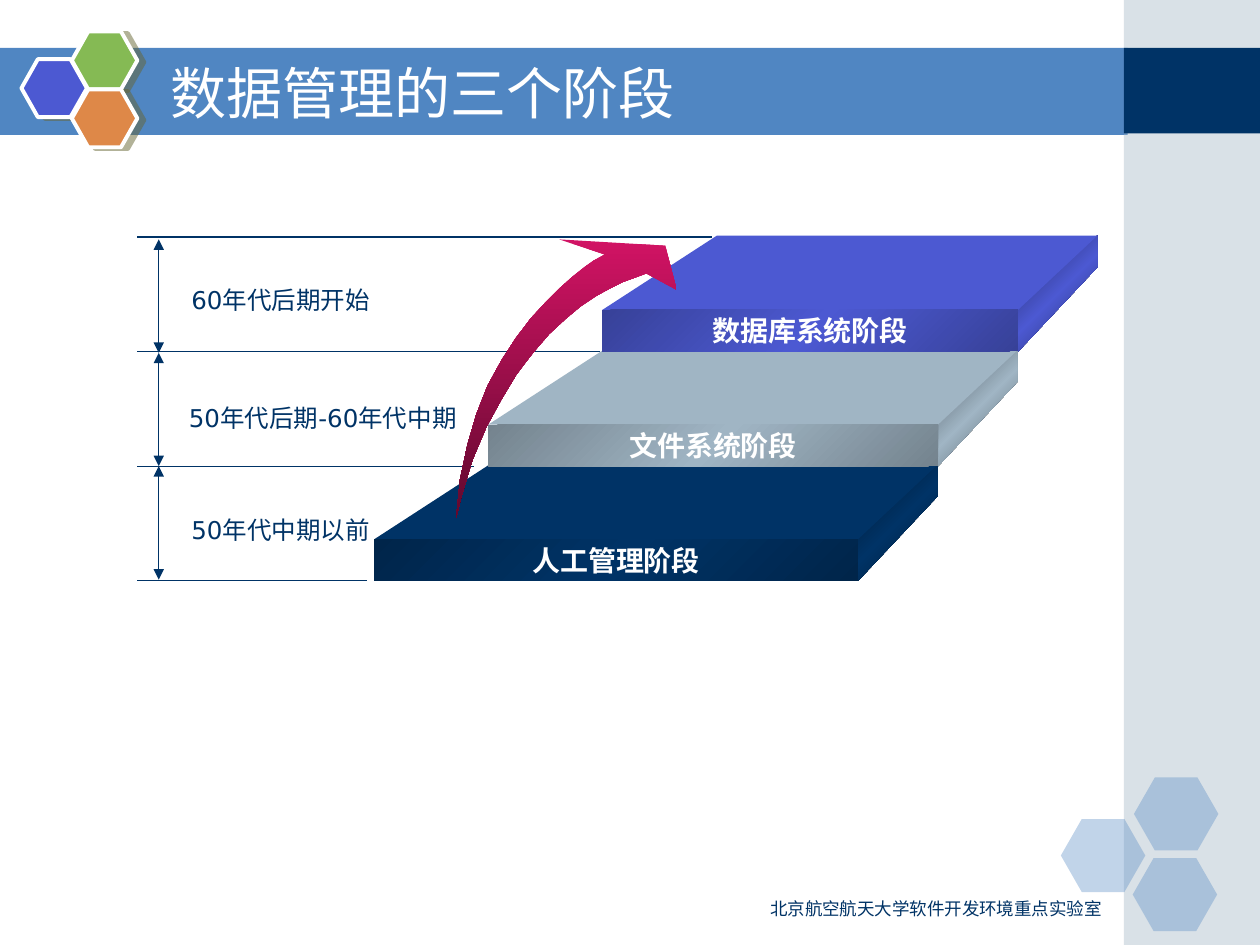
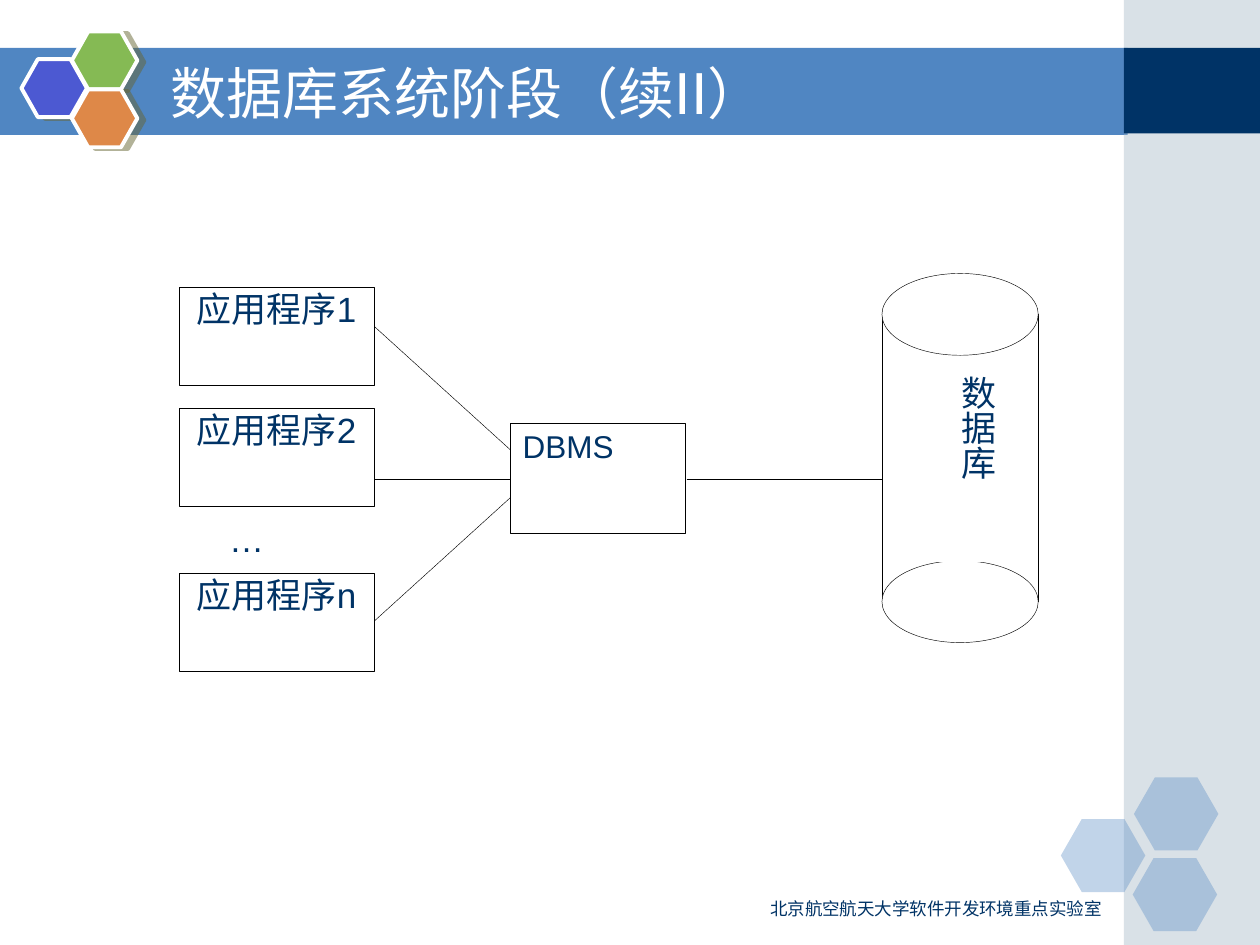
from copy import deepcopy
from dataclasses import dataclass

from lxml import etree
from pptx import Presentation
from pptx.dml.color import RGBColor
from pptx.enum.lang import MSO_LANGUAGE_ID
from pptx.enum.shapes import MSO_CONNECTOR, MSO_SHAPE
from pptx.enum.text import MSO_ANCHOR, MSO_AUTO_SIZE, PP_ALIGN
from pptx.oxml.ns import qn
from pptx.util import Inches, Pt

RECTANGLE, HEXAGON, ELLIPSE = MSO_SHAPE.RECTANGLE, MSO_SHAPE.HEXAGON, MSO_SHAPE.OVAL
STRAIGHT = MSO_CONNECTOR.STRAIGHT
LEFT, CENTER, RIGHT = PP_ALIGN.LEFT, PP_ALIGN.CENTER, PP_ALIGN.RIGHT
TOP, MIDDLE = MSO_ANCHOR.TOP, MSO_ANCHOR.MIDDLE
NO_AUTOFIT = MSO_AUTO_SIZE.NONE
CHINESE = MSO_LANGUAGE_ID.SIMPLIFIED_CHINESE


@dataclass(frozen=True)
class Theme:
    navy: str = "003366"
    blue: str = "5086C2"
    violet: str = "4C59D2"
    green: str = "85BA54"
    orange: str = "DE8848"
    mist: str = "A0B5C4"
    white: str = "FFFFFF"
    black: str = "000000"
    shade: str = "666633"
    crimson: tuple = ("D11364", "61092E")
    font: str = "DejaVu Sans"
    diagram_font: str = "Arial"
    title_size: int = 32
    diagram_size: int = 20
    dbms_size: int = 18
    stage_size: int = 16
    period_size: int = 14
    footer_size: int = 10
    rule_width: float = 0.75
    hairline: float = 0.26


theme = Theme()


def paint(shape, fill, line=None, width=theme.hairline, alpha=None, angle=45):
    """Fill with one colour, or with a gradient when given several."""
    shape.shadow.inherit = False
    if isinstance(fill, tuple):
        shape.fill.gradient()
        shape.fill.gradient_angle = 360 - angle
        stops = shape.element.spPr.find(qn("a:gradFill")).find(qn("a:gsLst"))
        while len(stops) < len(fill):
            stops.append(deepcopy(stops[-1]))
        for index, (stop, colour) in enumerate(zip(shape.fill.gradient_stops, fill)):
            stop.color.rgb = RGBColor.from_string(colour)
            stop.position = index / (len(fill) - 1)
    else:
        shape.fill.solid()
        shape.fill.fore_color.rgb = RGBColor.from_string(fill)
    if alpha:
        colour = shape.element.spPr.find(qn("a:solidFill"))[0]
        etree.SubElement(colour, qn("a:alpha"), val=str(alpha * 1000))
    if line:
        shape.line.color.rgb = RGBColor.from_string(line)
        shape.line.width = Pt(width)
    else:
        shape.line.fill.background()


def write(shape, text, size, colour=theme.navy, font=theme.font, bold=False,
          align=LEFT, anchor=TOP, insets=(0.1, 0.05, 0.1, 0.05), wrap=True):
    frame = shape.text_frame
    frame.auto_size = NO_AUTOFIT
    frame.word_wrap = wrap
    frame.vertical_anchor = anchor
    (frame.margin_left, frame.margin_top,
     frame.margin_right, frame.margin_bottom) = map(Inches, insets)
    para = frame.paragraphs[0]
    para.alignment = align
    span = para.add_run()
    span.text = text
    span.font.name = font
    span.font.size = Pt(size)
    span.font.bold = bold
    span.font.color.rgb = RGBColor.from_string(colour)
    span.font.language_id = CHINESE


deck = Presentation()
deck.slide_width, deck.slide_height = Inches(10), Inches(7.5)

# Lines of each slide: x1, y1, x2, y2
STEP = 0.91
period_rules = [(1.09, 1.88 + STEP * i, end, 1.88 + STEP * i)
                for i, end in enumerate((5.65, 4.76, 3.76, 2.91))]
period_spans = [(1.26, 1.9 + 0.9 * i, 1.26, 2.8 + 0.9 * i) for i in range(3)]
links = [(2.97, 2.59, 4.05, 3.57), (2.97, 3.8, 4.05, 3.8), (2.97, 4.93, 4.05, 3.95),
         (5.45, 3.8, 7, 3.8)]
cylinder_sides = [(x, 2.49, x, 4.78) for x in (7, 8.24)]

slides = [
    ("数据管理的三个阶段", period_rules, period_spans, theme.navy, theme.rule_width),
    ("数据库系统阶段（续II）", links + cylinder_sides, [], theme.black, theme.hairline),
]

# Frame shared by both slides
for title_text, plain_lines, arrow_lines, line_colour, line_width in slides:
    page = deck.slides.add_slide(deck.slide_layouts[5])

    # Title band and side strip
    for at, colour, alpha in [
        ((0, 0.38, 8.95, 0.69), theme.blue, None),
        ((8.92, 0, 1.08, 7.5), theme.mist, 40),
        ((8.92, 0.38, 1.08, 0.68), theme.navy, None),
    ]:
        band = page.shapes.add_shape(RECTANGLE, *map(Inches, at))
        paint(band, colour, alpha=alpha)

    # Pale hexagons at the bottom right
    for x, y in [(8.42, 6.5), (9, 6.17), (8.99, 6.81)]:
        cell = page.shapes.add_shape(HEXAGON, *map(Inches, (x, y, 0.67, 0.58)))
        cell.adjustments[0] = 0.286
        paint(cell, theme.blue, alpha=35)

    # Bright hexagons beside the title, with a shadow
    for x, y, colour in [(0.17, 0.47, theme.violet), (0.57, 0.25, theme.green),
                         (0.57, 0.71, theme.orange)]:
        cell = page.shapes.add_shape(HEXAGON, *map(Inches, (x, y, 0.52, 0.46)))
        cell.adjustments[0] = 0.283
        paint(cell, colour, theme.white, 2.25)
        shadow = etree.SubElement(cell.element.spPr.find(qn("a:effectLst")),
                                  qn("a:outerShdw"), dist=str(Pt(4.1)),
                                  dir=str(14 * 60000), algn="ctr", rotWithShape="0")
        tint = etree.SubElement(shadow, qn("a:srgbClr"), val=theme.shade)
        etree.SubElement(tint, qn("a:alpha"), val="50000")

    # Title, raised above the band
    title = page.shapes.title
    title.left, title.top, title.width, title.height = map(Inches, (1.25, 0.42, 7.33, 0.62))
    title.element.getparent().append(title.element)
    write(title, title_text, theme.title_size, theme.white, anchor=MIDDLE)

    # Footer
    footer = page.shapes.add_textbox(*map(Inches, (5.67, 7.08, 3.17, 0.26)))
    write(footer, "北京航空航天大学软件开发环境重点实验室", theme.footer_size, align=RIGHT)

    # Lines
    for ends in plain_lines + arrow_lines:
        line = page.shapes.add_connector(STRAIGHT, *map(Inches, ends))
        line.line.color.rgb = RGBColor.from_string(line_colour)
        line.line.width = Pt(line_width)
        if ends in arrow_lines:
            for end in ("a:headEnd", "a:tailEnd"):
                etree.SubElement(line.element.spPr.find(qn("a:ln")), qn(end), type="triangle")
        etree.SubElement(line.element.spPr, qn("a:effectLst"))

stages_page, system_page = deck.slides

# Slide 1: periods
for x, y, width, text in [
    (1.42, 2.21, 1.64, "60年代后期开始"),
    (1.4, 3.15, 2.41, "50年代后期-60年代中期"),
    (1.42, 4.04, 1.64, "50年代中期以前"),
]:
    period = stages_page.shapes.add_textbox(*map(Inches, (x, y, width, 0.34)))
    write(period, text, theme.period_size)

# Slide 1: stages from the top step down, with dark ends for side and front
stages = [
    ("数据库系统阶段", theme.violet, "232961", "374198"),
    ("文件系统阶段", theme.mist, "4A545B", "74838E"),
    ("人工管理阶段", theme.navy, "00182F", "00254A"),
]
FACE_HEIGHT, FRONT_HEIGHT, SIDE_DEPTH = 0.59, 0.33, 0.63
outlines, fronts = [], []
for i, (name, colour, side_dark, front_dark) in enumerate(stages):
    left, right, top = 4.78 - 0.905 * i, 8.08 - 0.635 * i, 1.87 + STEP * i
    back, edge = right + SIDE_DEPTH, top + FACE_HEIGHT
    side = [(back, top + 0.25), (right, edge + FRONT_HEIGHT), (right, edge), (back, top)]
    face = [(right, edge), (left, edge), (left + 0.91, top), (back, top)]
    outlines += [(side, (side_dark, colour, side_dark), 45), (face, colour, 45)]
    fronts.append((name, (left, edge, right - left, FRONT_HEIGHT),
                   (front_dark, colour, front_dark)))

# Slide 1: curved arrow, outer edge, head, inner edge
rising_arrow = [
    (3.62, 4.11), (3.65, 3.81), (3.71, 3.53), (3.78, 3.29), (3.87, 3.06), (3.98, 2.86),
    (4.09, 2.69), (4.21, 2.53), (4.33, 2.4), (4.44, 2.29), (4.54, 2.2), (4.64, 2.12),
    (4.71, 2.07), (4.8, 2.02),
    (4.44, 1.9), (5.28, 1.95), (5.37, 2.3),
    (5.13, 2.17), (5.05, 2.2), (4.94, 2.24), (4.84, 2.29), (4.73, 2.35), (4.61, 2.43),
    (4.49, 2.53), (4.36, 2.65), (4.23, 2.8), (4.1, 2.97), (3.98, 3.17), (3.86, 3.39),
    (3.75, 3.65), (3.66, 3.95),
]
outlines.append((rising_arrow, theme.crimson, 90))

for points, fill, angle in outlines:
    corners = [(Inches(x), Inches(y)) for x, y in points]
    builder = stages_page.shapes.build_freeform(*corners[0])
    builder.add_line_segments(corners[1:])
    paint(builder.convert_to_shape(), fill, angle=angle)

for name, at, fill in fronts:
    front = stages_page.shapes.add_shape(RECTANGLE, *map(Inches, at))
    paint(front, fill)
    write(front, name, theme.stage_size, theme.white, bold=True, align=CENTER,
          anchor=MIDDLE, wrap=False)

# Slide 2: application programs
for y, suffix in [(2.28, "1"), (3.24, "2"), (4.55, "n")]:
    program = system_page.shapes.add_shape(RECTANGLE, *map(Inches, (1.42, y, 1.55, 0.78)))
    paint(program, theme.white, theme.black)
    write(program, "应用程序" + suffix, theme.diagram_size, font=theme.diagram_font,
          align=CENTER, insets=(0.04, 0, 0.04, 0))

more = system_page.shapes.add_textbox(*map(Inches, (1.72, 4.13, 0.82, 0.4)))
write(more, "…", theme.diagram_size, font=theme.diagram_font, insets=(0.1, 0, 0.1, 0))

# Slide 2: database management system
dbms = system_page.shapes.add_shape(RECTANGLE, *map(Inches, (4.05, 3.36, 1.39, 0.87)))
paint(dbms, theme.white, theme.black)
write(dbms, "DBMS", theme.dbms_size, font=theme.diagram_font)

for shape in (more, dbms):
    shape.text_frame.paragraphs[0].line_spacing = 0.96

# Slide 2: database cylinder
for y in (2.17, 4.45):
    cap = system_page.shapes.add_shape(ELLIPSE, *map(Inches, (7, y, 1.24, 0.65)))
    paint(cap, theme.white, theme.black)

database = system_page.shapes.add_shape(RECTANGLE, *map(Inches, (7.31, 2.94, 0.62, 1.52)))
paint(database, theme.white)
write(database, "数据库", theme.diagram_size, font=theme.diagram_font, align=CENTER,
      insets=(0, 0.04, 0, 0))
database.text_frame._txBody.find(qn("a:bodyPr")).set("vert", "eaVert")

deck.save("out.pptx")
